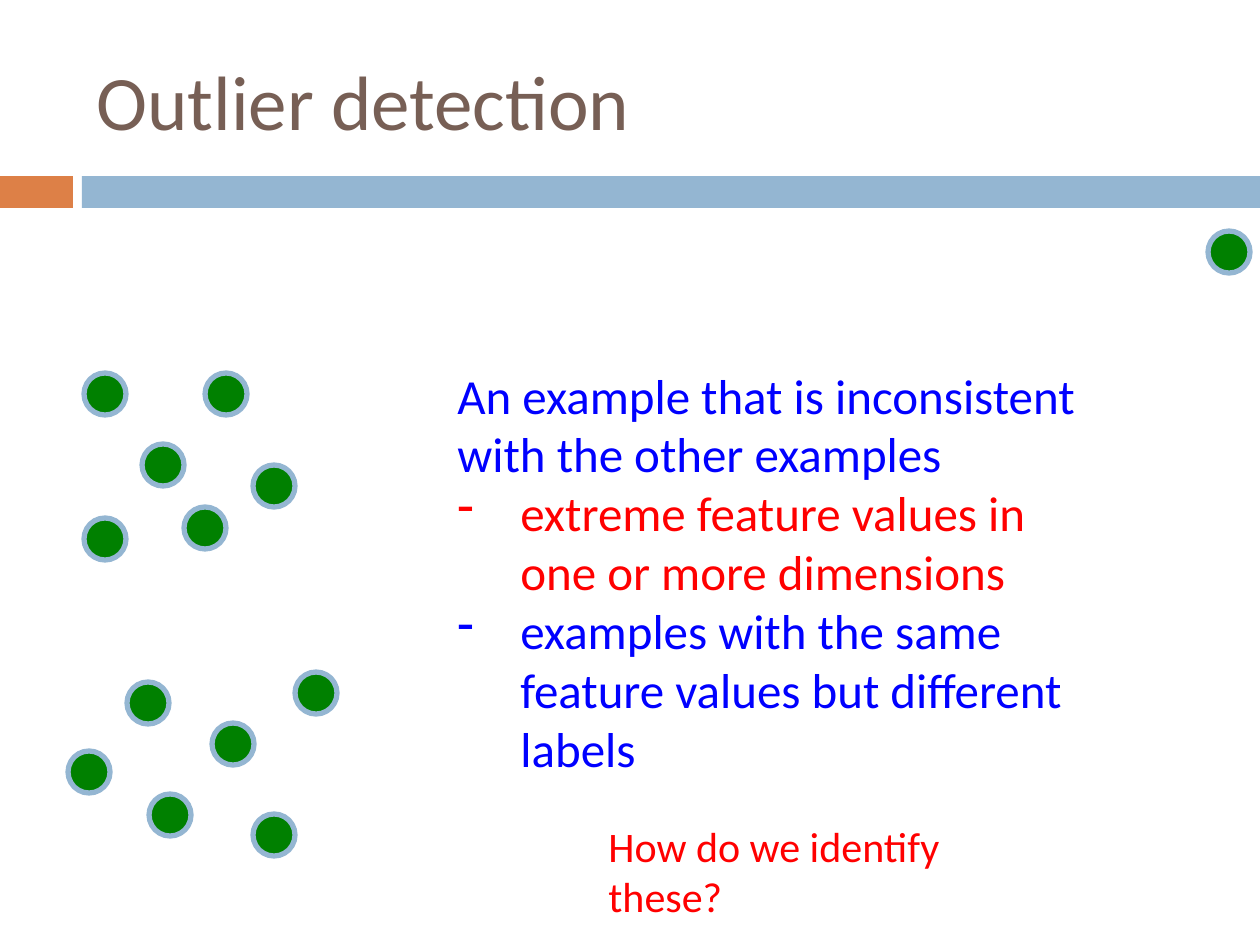
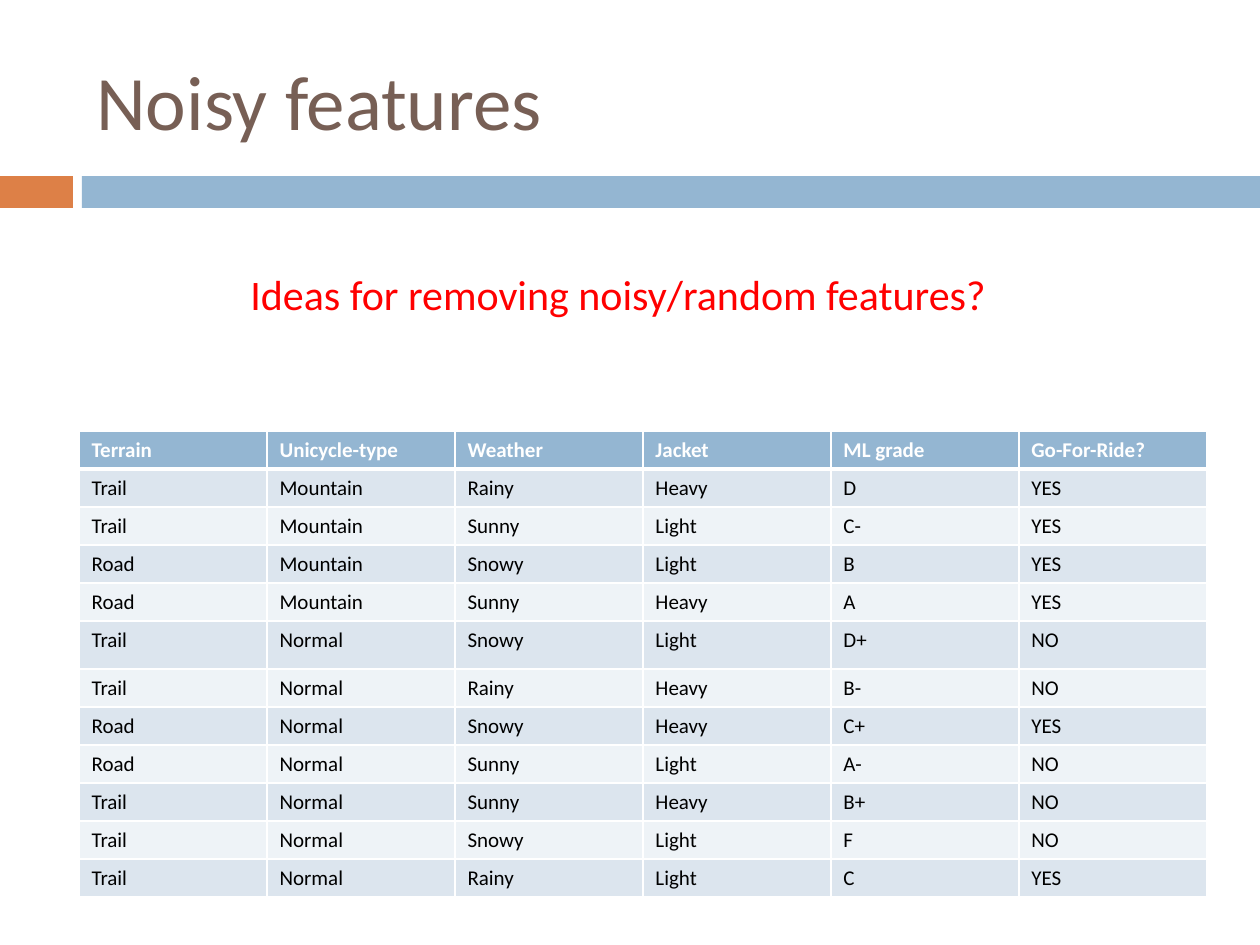
from lxml.etree import SubElement
from pptx import Presentation
from pptx.dml.color import RGBColor
from pptx.enum.shapes import MSO_SHAPE as Preset
from pptx.enum.text import MSO_ANCHOR as Anchor
from pptx.oxml.ns import qn
from pptx.util import Emu, Pt

PX_PER_INCH = 126
FONT = "Calibri"
BLUE_BAND = RGBColor(0x94, 0xB6, 0xD2)
ORANGE_BAND = RGBColor(0xDD, 0x80, 0x47)
TITLE_BROWN = RGBColor(0x77, 0x5F, 0x55)
POINT_GREEN = RGBColor(0x00, 0x80, 0x00)
BLUE = RGBColor(0x00, 0x00, 0xFF)
RED = RGBColor(0xFF, 0x00, 0x00)
BLACK = RGBColor(0x00, 0x00, 0x00)
WHITE = RGBColor(0xFF, 0xFF, 0xFF)
ROW_DARK = RGBColor(0xDC, 0xE5, 0xEE)
ROW_LIGHT = RGBColor(0xEE, 0xF3, 0xF7)

POINT_SIZE = 42
UPPER_CLUSTER = [(0, 145), (58, 71), (100, 134), (0, 0), (121, 0), (169, 92)]
LOWER_CLUSTER = [(0, 79), (59, 10), (81, 122), (144, 51), (185, 142), (227, 0)]
OUTLIER = [(0, 0)]

DEFINITION = "An example that is inconsistent with the other examples"
OUTLIER_KINDS = [
    ("extreme feature values in one or more dimensions", RED),
    ("examples with the same feature values but different labels", BLUE),
]

RIDES = [
    ("Terrain", "Unicycle-type", "Weather", "Jacket", "ML grade", "Go-For-Ride?"),
    ("Trail", "Mountain", "Rainy", "Heavy", "D", "YES"),
    ("Trail", "Mountain", "Sunny", "Light", "C-", "YES"),
    ("Road", "Mountain", "Snowy", "Light", "B", "YES"),
    ("Road", "Mountain", "Sunny", "Heavy", "A", "YES"),
    ("Trail", "Normal", "Snowy", "Light", "D+", "NO"),
    ("Trail", "Normal", "Rainy", "Heavy", "B-", "NO"),
    ("Road", "Normal", "Snowy", "Heavy", "C+", "YES"),
    ("Road", "Normal", "Sunny", "Light", "A-", "NO"),
    ("Trail", "Normal", "Sunny", "Heavy", "B+", "NO"),
    ("Trail", "Normal", "Snowy", "Light", "F", "NO"),
    ("Trail", "Normal", "Rainy", "Light", "C", "YES"),
]
ROW_HEIGHT = 38
TALL_ROW, TALL_ROW_HEIGHT = 5, 48


def px(length):
    """Turn a length in px into EMU."""
    return Emu(round(length * 914400 / PX_PER_INCH))


def add_run(paragraph, text, size, color, bold=False):
    """Append one styled run to a paragraph."""
    run = paragraph.add_run()
    run.text = text
    font = run.font
    font.name, font.size, font.bold = FONT, Pt(size), bold
    font.color.rgb = color


def add_text(slide, box, text, size, color, anchor=Anchor.TOP):
    """Add a wrapped text box with one paragraph and return its frame."""
    frame = slide.shapes.add_textbox(*map(px, box)).text_frame
    frame.word_wrap = True
    frame.vertical_anchor = anchor
    add_run(frame.paragraphs[0], text, size, color)
    return frame


def add_filled(slide, preset, box, fill):
    """Add a flat preset shape without an outline."""
    shape = slide.shapes.add_shape(preset, *map(px, box))
    shape.shadow.inherit = False
    shape.fill.solid()
    shape.fill.fore_color.rgb = fill
    shape.line.fill.background()
    return shape


def add_titled_slide(presentation, title):
    """Add a blank slide with the shared bands and title."""
    slide = presentation.slides.add_slide(presentation.slide_layouts[6])
    add_filled(slide, Preset.RECTANGLE, (0, 176, 73, 32), ORANGE_BAND)
    add_filled(slide, Preset.RECTANGLE, (82, 176, 1178, 32), BLUE_BAND)
    add_text(slide, (84, 32, 1124, 136), title, 44, TITLE_BROWN, Anchor.MIDDLE)
    return slide


def add_points(slide, left, top, offsets):
    """Scatter data points from the corner of their cluster."""
    for across, down in offsets:
        box = (left + across, top + down, POINT_SIZE, POINT_SIZE)
        point = add_filled(slide, Preset.OVAL, box, POINT_GREEN)
        point.line.color.rgb = BLUE_BAND
        point.line.width = Pt(3)


def add_definition(slide, box):
    """Write the outlier definition and its dashed list."""
    frame = add_text(slide, box, DEFINITION, 28, BLUE)
    for text, color in OUTLIER_KINDS:
        paragraph = frame.add_paragraph()
        properties = paragraph._p.get_or_add_pPr()
        properties.set("marL", str(px(63)))
        properties.set("indent", str(-px(63)))
        SubElement(properties, qn("a:buFontTx"))
        SubElement(properties, qn("a:buChar")).set("char", "-")
        add_run(paragraph, text, 28, color)


def set_borders(cell, bottom_width):
    """Draw white cell borders with the given bottom width in points."""
    properties = cell._tc.get_or_add_tcPr()
    for side, width in zip("LRTB", (1, 1, 1, bottom_width)):
        line = SubElement(properties, qn(f"a:ln{side}"), w=str(Pt(width)))
        fill = SubElement(line, qn("a:solidFill"))
        SubElement(fill, qn("a:srgbClr")).set("val", str(WHITE))


def add_rides_table(slide, left, top, width):
    """Add the banded table of rides with equal columns."""
    heights = [ROW_HEIGHT] * len(RIDES)
    heights[TALL_ROW] = TALL_ROW_HEIGHT
    column_count = len(RIDES[0])
    box = (left, top, width, sum(heights))
    table = slide.shapes.add_table(len(RIDES), column_count, *map(px, box)).table
    for column in table.columns:
        column.width = px(width // column_count)
    for index, (row, values) in enumerate(zip(table.rows, RIDES)):
        row.height = px(heights[index])
        header = index == 0
        band = BLUE_BAND if header else (ROW_LIGHT, ROW_DARK)[index % 2]
        for cell, value in zip(row.cells, values):
            set_borders(cell, 3 if header or False else 1)
            cell.fill.solid()
            cell.fill.fore_color.rgb = band
            add_run(cell.text_frame.paragraphs[0], value, 12,
                    WHITE if header else BLACK, header)


def build_outlier_slide(presentation):
    """Build the slide that defines outliers."""
    slide = add_titled_slide(presentation, "Outlier detection")
    add_points(slide, 68, 672, LOWER_CLUSTER)
    add_points(slide, 84, 373, UPPER_CLUSTER)
    add_points(slide, 1208, 231, OUTLIER)
    add_definition(slide, (445, 359, 643, 428))
    add_text(slide, (596, 814, 471, 63), "How do we identify these?", 24, RED)


def build_noisy_slide(presentation):
    """Build the slide that asks about noisy features."""
    slide = add_titled_slide(presentation, "Noisy features")
    question = "Ideas for removing noisy/random features?"
    frame = add_text(slide, (238, 262, 805, 127), question, 24, RED)
    frame.paragraphs[0].space_before = Pt(7)
    add_rides_table(slide, 79, 431, 1128)


def main():
    """Build and save the presentation."""
    presentation = Presentation()
    presentation.slide_width, presentation.slide_height = px(1260), px(945)
    build_outlier_slide(presentation)
    build_noisy_slide(presentation)
    presentation.save("out.pptx")


if __name__ == "__main__":
    main()
